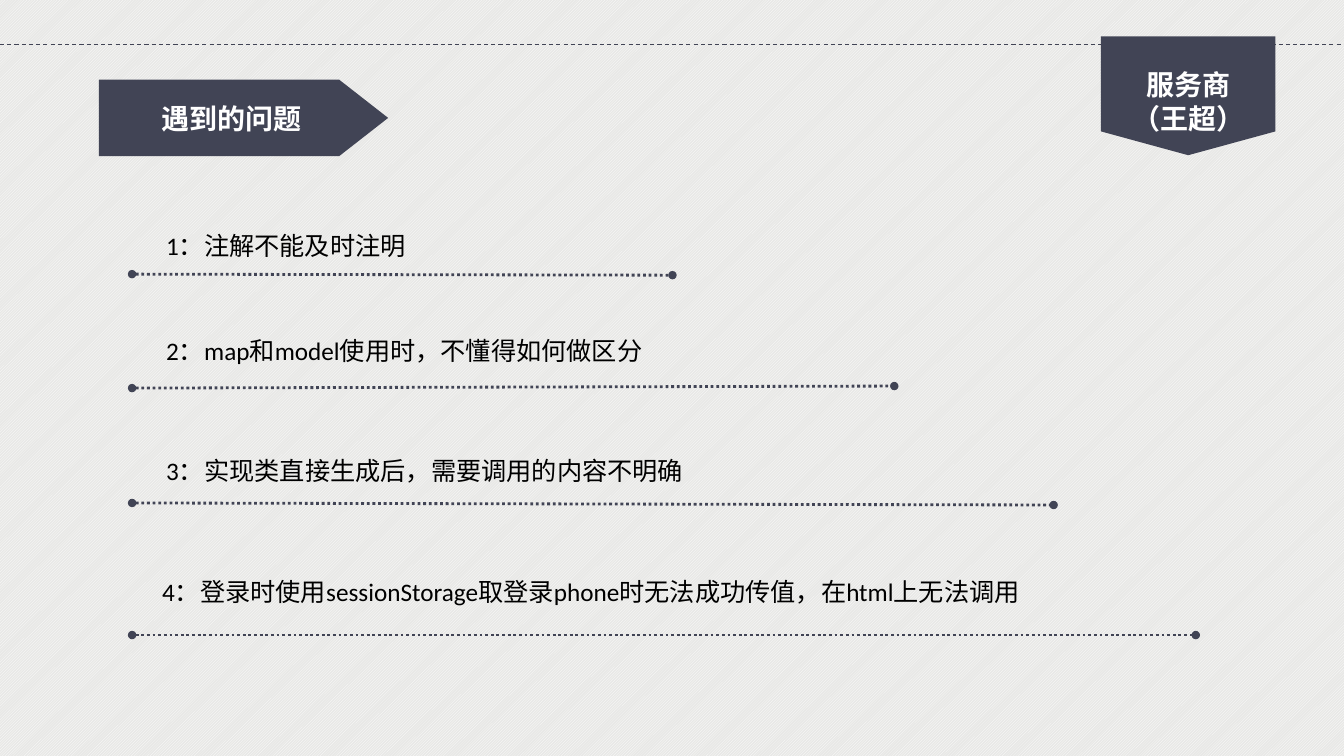
from pptx import Presentation
from pptx.dml.color import RGBColor
from pptx.enum.dml import MSO_LINE, MSO_PATTERN
from pptx.enum.shapes import MSO_CONNECTOR, MSO_SHAPE
from pptx.enum.text import MSO_ANCHOR, MSO_AUTO_SIZE, PP_ALIGN
from pptx.oxml.ns import qn
from pptx.util import Inches, Pt
from lxml.etree import SubElement

NAVY, WHITE, BLACK, PAPER = "414455", "FFFFFF", "000000", "E8E8E6"
LATIN, CJK = "Calibri", "Noto Sans CJK SC"
W, H = 13.33, 7.5
ISSUES = [
    ("1：注解不能及时注明", (1.55, 2.24, 9.64, 0.71), (2.72, 6.67, 2.73)),
    ("2：map和model使用时，不懂得如何做区分", (1.55, 3.28, 10.08, 0.71), (3.85, 8.87, 3.83)),
    ("3：实现类直接生成后，需要调用的内容不明确", (1.55, 4.47, 10.32, 0.4), (4.99, 10.45, 5.01)),
    ("4：登录时使用sessionStorage取登录phone时无法成功传值，在html上无法调用",
     (1.51, 5.67, 10.32, 0.4), (6.3, 11.86, 6.3)),
]


def color(value):
    return RGBColor.from_string(value)


def write(tf, text, size=18, font=LATIN, fill=BLACK, bold=False,
          align=PP_ALIGN.LEFT, anchor=MSO_ANCHOR.TOP, wrap=True, spacing=None):
    tf.word_wrap = wrap
    tf.vertical_anchor = anchor
    for i, line in enumerate(text.split("\n")):
        p = tf.paragraphs[0] if i == 0 else tf.add_paragraph()
        p.alignment = align
        if spacing:
            p.line_spacing = Pt(spacing)
        r = p.add_run()
        r.text = line
        r.font.size, r.font.bold, r.font.name = Pt(size), bold, font
        r.font.color.rgb = color(fill)
        SubElement(r.font._element, qn("a:ea"), typeface=CJK)


def add_line(s, start, end, width, dash, dots=False):
    c = s.shapes.add_connector(MSO_CONNECTOR.STRAIGHT, *map(Inches, start + end))
    c.line.color.rgb = color(NAVY)
    c.line.width = Pt(width)
    c.line.dash_style = dash
    if dots:
        ln = c.line._get_or_add_ln()
        for end_name in ("a:headEnd", "a:tailEnd"):
            SubElement(ln, qn(end_name), type="oval")
    SubElement(c._element.spPr, qn("a:effectLst"))


def add_label(s, preset, box, text, **fmt):
    sp = s.shapes.add_shape(preset, *map(Inches, box))
    sp.shadow.inherit = False
    sp.fill.solid()
    sp.fill.fore_color.rgb = color(NAVY)
    sp.line.fill.background()
    write(sp.text_frame, text, size=20, font=CJK, fill=WHITE, bold=True,
          align=PP_ALIGN.CENTER, **fmt)
    return sp


def add_header(s):
    add_line(s, (0, 0.44), (W, 0.44), 0.75, MSO_LINE.DASH)
    badge = add_label(s, MSO_SHAPE.FLOWCHART_OFFPAGE_CONNECTOR,
                      (10.92, 0.36, 1.73, 1.18), "服务商\n（王超）", spacing=24)
    badge.text_frame.margin_top = Inches(0.31)
    badge.text_frame.margin_bottom = 0
    title = add_label(s, MSO_SHAPE.PENTAGON, (0.98, 0.79, 2.87, 0.76),
                      "遇到的问题", anchor=MSO_ANCHOR.MIDDLE, wrap=False)
    title.adjustments[0] = 0.64


def add_issue(s, text, box, rule):
    y1, x2, y2 = rule
    add_line(s, (1.31, y1), (x2, y2), 2, MSO_LINE.ROUND_DOT, dots=True)
    tf = s.shapes.add_textbox(*map(Inches, box)).text_frame
    write(tf, text)
    tf.auto_size = MSO_AUTO_SIZE.SHAPE_TO_FIT_TEXT


def main():
    prs = Presentation()
    prs.slide_width, prs.slide_height = Inches(W), Inches(H)
    s = prs.slides.add_slide(prs.slide_layouts[6])
    fill = s.background.fill
    fill.patterned()
    fill.pattern = MSO_PATTERN.LIGHT_UPWARD_DIAGONAL
    fill.fore_color.rgb = color(WHITE)
    fill.back_color.rgb = color(PAPER)
    add_header(s)
    for issue in ISSUES:
        add_issue(s, *issue)
    prs.save("out.pptx")


if __name__ == "__main__":
    main()
